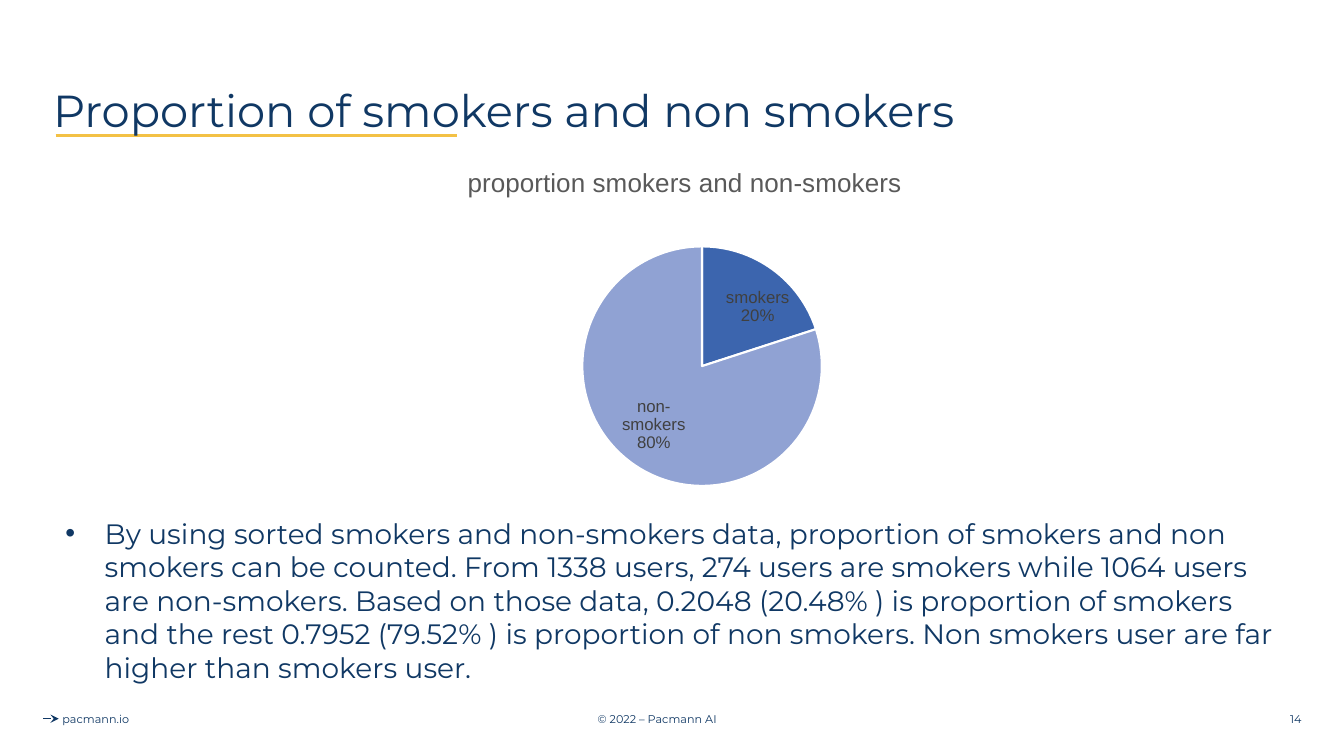
from lxml import etree
from pptx import Presentation
from pptx import util as u
from pptx.chart.data import CategoryChartData
from pptx.dml.color import RGBColor
from pptx.enum import chart as ch, shapes, text
from pptx.oxml import parse_xml
from pptx.oxml.ns import nsdecls, qn

THEME = {
    "navy": "103864", "gold": "F3C145", "white": "FFFFFF",
    "chart_title": "595959", "chart_label": "404040",
    "slices": ["3C65AE", "90A2D3"],
    "body_font": "Montserrat", "chart_font": "Arial",
    "title": 32, "body": 20, "footer": 8, "heading": 18.6, "label": 12,
}
LEFT, CENTER, RIGHT = text.PP_ALIGN.LEFT, text.PP_ALIGN.CENTER, text.PP_ALIGN.RIGHT
TOP, MIDDLE = text.MSO_ANCHOR.TOP, text.MSO_ANCHOR.MIDDLE

TITLE = "Proportion of smokers and non smokers"
BODY = (
    "By using sorted smokers and non-smokers data, proportion of smokers and non "
    "smokers can be counted. From 1338 users, 274 users are smokers while 1064 users "
    "are non-smokers. Based on those data, 0.2048 (20.48% ) is proportion of smokers "
    "and the rest 0.7952 (79.52% ) is proportion of non smokers. Non smokers user are "
    "far higher than smokers user."
)
CHART = {
    "title": "proportion smokers and non-smokers",
    "values": {"smokers": 20, "non-smokers": 80},
    "box": (10.02, 3.72, 14.48, 9.58),
    "plot": {"x": 0.32, "y": 0.26, "w": 0.42, "h": 0.63},
}
TEXTS = [
    (TITLE, (1.09, 1.02, 31.67, 3.68), "title", LEFT, MIDDLE),
    (BODY, (1.12, 12.88, 31.65, 4.6), "body", LEFT, TOP),
    ("© 2022 – Pacmann AI", (10.85, 17.6, 11.43, 1.02), "footer", CENTER, MIDDLE),
    ("pacmann.io", (-3.3, 17.6, 11.43, 1.02), "footer", CENTER, MIDDLE),
    ("14", (25.43, 17.6, 7.62, 1.02), "footer", RIGHT, MIDDLE),
]
LINES = [
    ((1.09, 18.11), (1.48, 18.11), "navy", 0.75, True),
    ((1.4, 3.41), (11.51, 3.41), "gold", 2.25, False),
]


def cms(values):
    return [u.Cm(v) for v in values]


def set_font(font, size, color, name):
    for key, value in {"size": u.Pt(size), "name": name, "bold": False}.items():
        setattr(font, key, value)
    font.color.rgb = RGBColor.from_string(color)


def add_line(s, start, end, color, width, arrow):
    sp = s.shapes.add_connector(shapes.MSO_CONNECTOR.STRAIGHT, *cms(start + end))
    sp.line.color.rgb = RGBColor.from_string(THEME[color])
    sp.line.width = u.Pt(width)
    if arrow:
        etree.SubElement(sp.line._get_or_add_ln(), qn("a:tailEnd"), type="stealth")
    etree.SubElement(sp._element.spPr, qn("a:effectLst"))


def add_text(s, words, box, role, align, anchor):
    tf = s.shapes.add_textbox(*cms(box)).text_frame
    for key, value in {"word_wrap": True, "vertical_anchor": anchor}.items():
        setattr(tf, key, value)
    p = tf.paragraphs[0]
    p.alignment = align
    if role == "title":
        p.line_spacing = 0.9
    if role == "body":
        pPr = p._p.get_or_add_pPr()
        pPr.set("marL", str(u.Cm(1.27)))
        pPr.set("indent", str(u.Cm(-0.99)))
        color = etree.SubElement(pPr, qn("a:buClr"))
        etree.SubElement(color, qn("a:srgbClr"), val=THEME["navy"])
        etree.SubElement(pPr, qn("a:buFont"), typeface=THEME["chart_font"])
        etree.SubElement(pPr, qn("a:buChar"), char="•")
    r = p.add_run()
    r.text = words
    set_font(r.font, THEME[role], THEME["navy"], THEME["body_font"])


def add_pie(s):
    data = CategoryChartData()
    data.categories = list(CHART["values"])
    data.add_series(CHART["title"], CHART["values"].values())
    chart = s.shapes.add_chart(ch.XL_CHART_TYPE.PIE, *cms(CHART["box"]), data).chart
    chart.has_legend = False
    chart.font.name = THEME["chart_font"]

    tf = chart.chart_title.text_frame
    tf.text = CHART["title"]
    set_font(tf.paragraphs[0].runs[0].font, THEME["heading"], THEME["chart_title"],
             THEME["chart_font"])

    plot = chart.plots[0]
    plot.vary_by_categories = True
    for i, color in enumerate(THEME["slices"]):
        fmt = plot.series[0].points[i].format
        fmt.fill.solid()
        fmt.fill.fore_color.rgb = RGBColor.from_string(color)
        fmt.line.color.rgb = RGBColor.from_string(THEME["white"])
        fmt.line.width = u.Pt(1.5)

    labels = plot.series[0].data_labels
    options = {"show_category_name": True, "show_percentage": True, "show_value": False,
               "number_format": "0%", "number_format_is_linked": False,
               "position": ch.XL_LABEL_POSITION.BEST_FIT}
    for key, value in options.items():
        setattr(labels, key, value)
    set_font(labels.font, THEME["label"], THEME["chart_label"], THEME["chart_font"])

    sizes = "".join(f'<c:{k} val="{v}"/>' for k, v in CHART["plot"].items())
    modes = '<c:layoutTarget val="inner"/><c:xMode val="edge"/><c:yMode val="edge"/>'
    area = chart._chartSpace.chart.plotArea
    for old in area.findall(qn("c:layout")):
        area.remove(old)
    area.insert(0, parse_xml(f'<c:layout {nsdecls("c")}><c:manualLayout>{modes}{sizes}'
                             '</c:manualLayout></c:layout>'))


def main():
    prs = Presentation()
    prs.slide_width, prs.slide_height = cms((33.87, 19.05))
    s = prs.slides.add_slide(prs.slide_layouts[6])
    for line in LINES:
        add_line(s, *line)
    for item in TEXTS:
        add_text(s, *item)
    add_pie(s)
    prs.save("out.pptx")


if __name__ == "__main__":
    main()
